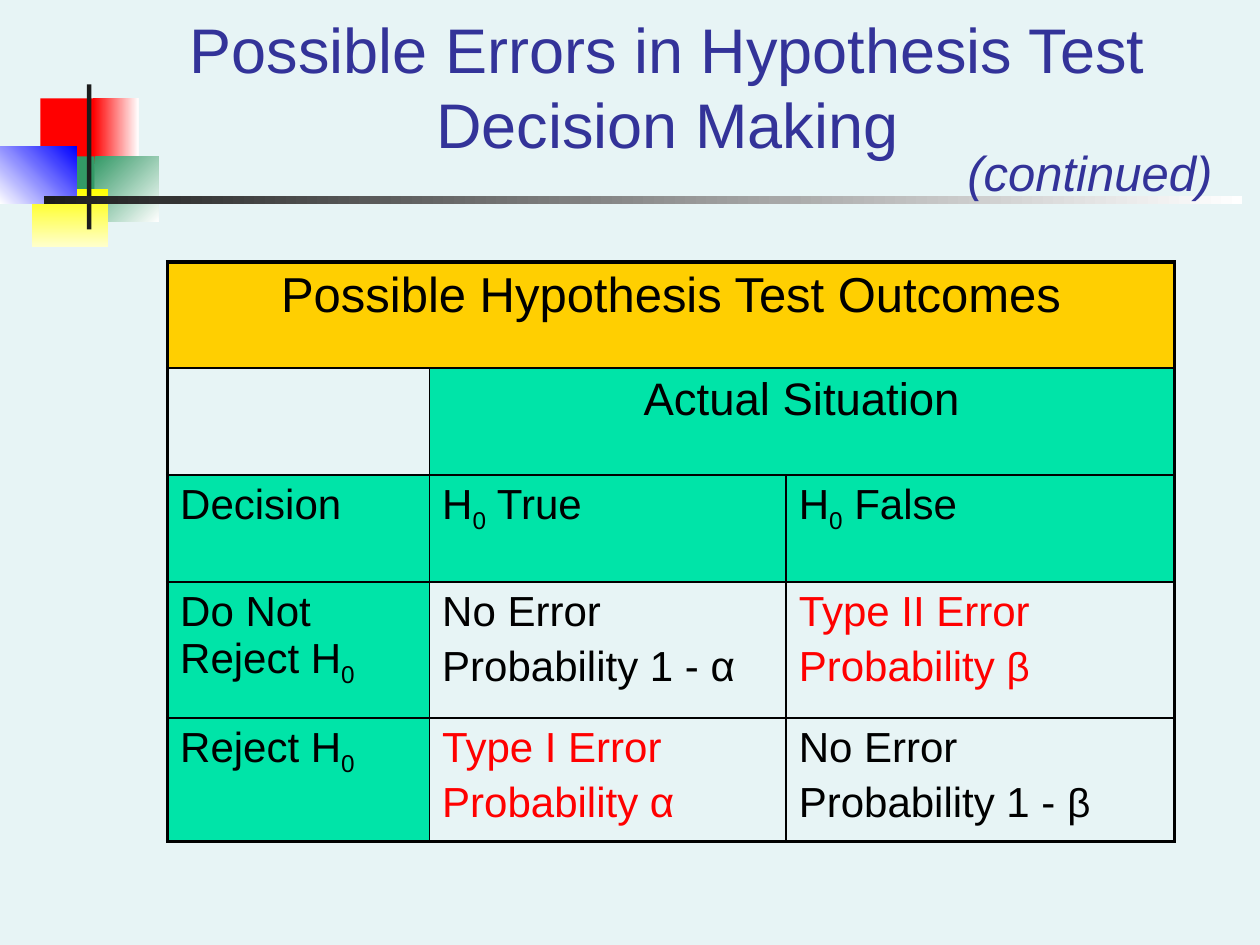
from dataclasses import dataclass

from lxml import etree
from pptx import Presentation
from pptx import util as u
from pptx.dml.color import RGBColor
from pptx.enum import shapes, text
from pptx.oxml import ns

# The slide is a grid of 100 columns by 75 rows
COLUMNS, ROWS = 100, 75
UNIT = u.Inches(0.1)

INDIGO, BLACK, RED = "333399", "000000", "FF0000"
GOLD, GREEN, CHARCOAL = "FFCF01", "00E4A8", "1C1C1C"
THIN, THICK = 1, 2.25
PLAIN_STYLE = "{2D5ABB26-0587-4C30-8999-92F81FD0307C}"


@dataclass(frozen=True)
class Box:
    """Left, top, width and height in grid units."""
    left: float
    top: float
    width: float
    height: float

    def emu(self) -> list[int]:
        return [grid(n) for n in (self.left, self.top, self.width, self.height)]


@dataclass(frozen=True)
class Block:
    box: Box
    color: str
    fade_to: str | None = None
    angle: float = 0  # clockwise


@dataclass(frozen=True)
class Piece:
    """A run that departs from its paragraph's format."""
    words: str
    size: float | None = None
    baseline: int = 0


@dataclass(frozen=True)
class Outcome:
    row: int
    col: int
    paragraphs: tuple = ()
    fill: str | None = None
    color: str = BLACK
    size: float = 24
    span: int = 1


ZERO = Piece("0", baseline=-25)
BETA = Piece("β", size=23)

BLOCKS = [
    Block(Box(3.2, 7.8, 4.8, 5.2), RED),
    Block(Box(7.4, 7.8, 3.6, 5.2), RED, "FFFFFF"),
    Block(Box(7.5, 12.4, 5.1, 5.2), "339966", "FFFFFF", 45),
    Block(Box(4.3, 12.4, 3.2, 5.2), "339966"),
    Block(Box(2.5, 15, 6.1, 4.6), "FFFF00", "FFFFCC", 90),
    Block(Box(0, 11.6, 6.1, 4.6), "FFFFFF", "0000FF", 315),
    Block(Box(6.9, 6.7, 0.35, 11.5), CHARCOAL),
    Block(Box(3.5, 15.6, 95.1, 0.6), CHARCOAL, "FFFFFF"),
]

COLUMN_WIDTHS = [20.8, 28.3, 30.8]
ROW_HEIGHTS = [8.4, 8.5, 8.5, 10.8, 9.8]
OUTCOMES = [
    Outcome(0, 0, (["Possible Hypothesis Test Outcomes"],), GOLD, size=28, span=3),
    Outcome(1, 0),
    Outcome(1, 1, (["Actual Situation"],), GREEN, size=26, span=2),
    Outcome(2, 0, (["Decision"],), GREEN),
    Outcome(2, 1, (["H", ZERO, " True"],), GREEN),
    Outcome(2, 2, (["H", ZERO, " False"],), GREEN),
    Outcome(3, 0, (["Do Not Reject H", ZERO],), GREEN),
    Outcome(3, 1, (["No Error"], ["Probability 1 - α"])),
    Outcome(3, 2, (["Type II Error"], ["Probability ", BETA]), color=RED),
    Outcome(4, 0, (["Reject H", ZERO],), GREEN),
    Outcome(4, 1, (["Type I Error"], ["Probability α"]), color=RED),
    Outcome(4, 2, (["No Error"], ["Probability 1 - ", BETA])),
]


def grid(units: float) -> int:
    return round(units * UNIT)


def rgb(color: str) -> RGBColor:
    return RGBColor.from_string(color)


def write(frame, paragraphs, *, size: float, color: str, italic=False,
          align=text.PP_ALIGN.LEFT, space_before: float = 0) -> None:
    for i, pieces in enumerate(paragraphs):
        para = frame.add_paragraph() if i else frame.paragraphs[0]
        para.alignment = align
        para.space_before = u.Pt(space_before)
        for piece in pieces:
            if isinstance(piece, str):
                piece = Piece(piece)
            run = para.add_run()
            run.text = piece.words
            font = run.font
            font.name, font.size = "Arial", u.Pt(piece.size or size)
            font.bold, font.italic = False, italic
            font.color.rgb = rgb(color)
            if piece.baseline:
                run._r.get_or_add_rPr().set("baseline", str(piece.baseline * 1000))


def draw_block(slide, block: Block) -> None:
    shape = slide.shapes.add_shape(shapes.MSO_SHAPE.RECTANGLE, *block.box.emu())
    shape.shadow.inherit = False
    shape.line.fill.background()
    if block.fade_to is None:
        shape.fill.solid()
        shape.fill.fore_color.rgb = rgb(block.color)
        return
    shape.fill.gradient()
    shape.fill.gradient_angle = -block.angle % 360  # counted anticlockwise
    stops = zip(shape.fill.gradient_stops, (block.color, block.fade_to))
    for position, (stop, color) in enumerate(stops):
        stop.position = position
        stop.color.rgb = rgb(color)


def draw_borders(cell, outcome: Outcome) -> None:
    """Thick on the table's rim, thin inside."""
    on_rim = {
        "lnL": outcome.col == 0,
        "lnR": outcome.col + outcome.span == len(COLUMN_WIDTHS),
        "lnT": outcome.row == 0,
        "lnB": outcome.row == len(ROW_HEIGHTS) - 1,
    }
    properties = cell._tc.get_or_add_tcPr()
    for place, (side, rim) in enumerate(on_rim.items()):
        line = etree.Element(ns.qn(f"a:{side}"), w=str(u.Pt(THICK if rim else THIN)))
        fill = etree.SubElement(line, ns.qn("a:solidFill"))
        etree.SubElement(fill, ns.qn("a:srgbClr"), val=BLACK)
        properties.insert(place, line)


def draw_outcome(table, outcome: Outcome) -> None:
    cell = table.cell(outcome.row, outcome.col)
    if outcome.span > 1:
        cell.merge(table.cell(outcome.row, outcome.col + outcome.span - 1))
    if outcome.fill:
        cell.fill.solid()
        cell.fill.fore_color.rgb = rgb(outcome.fill)
    else:
        cell.fill.background()
    align = text.PP_ALIGN.CENTER if outcome.span > 1 else text.PP_ALIGN.LEFT
    write(cell.text_frame, outcome.paragraphs, size=outcome.size,
          color=outcome.color, align=align, space_before=0.2 * outcome.size)
    draw_borders(cell, outcome)


def draw_table(slide, box: Box) -> None:
    table = slide.shapes.add_table(
        len(ROW_HEIGHTS), len(COLUMN_WIDTHS), *box.emu()).table
    table.first_row = table.horz_banding = False
    table._tbl.tblPr.find(ns.qn("a:tableStyleId")).text = PLAIN_STYLE
    for column, width in zip(table.columns, COLUMN_WIDTHS):
        column.width = grid(width)
    for row, height in zip(table.rows, ROW_HEIGHTS):
        row.height = grid(height)
    for outcome in OUTCOMES:
        draw_outcome(table, outcome)


def main() -> None:
    deck = Presentation()
    deck.slide_width, deck.slide_height = grid(COLUMNS), grid(ROWS)
    slide = deck.slides.add_slide(deck.slide_layouts.get_by_name("Title Only"))
    slide.background.fill.solid()
    slide.background.fill.fore_color.rgb = rgb("E7F4F5")

    for block in BLOCKS:
        draw_block(slide, block)

    title = slide.shapes.title
    title.left, title.top, title.width, title.height = Box(12.6, 2.5, 80.7, 10.8).emu()
    title.text_frame.vertical_anchor = text.MSO_ANCHOR.BOTTOM
    title.text_frame.auto_size = text.MSO_AUTO_SIZE.NONE
    write(title.text_frame, [["Possible Errors in Hypothesis Test Decision Making"]],
          size=36, color=INDIGO, align=text.PP_ALIGN.CENTER)

    draw_table(slide, Box(13.3, 20.8, sum(COLUMN_WIDTHS), sum(ROW_HEIGHTS)))

    continued = slide.shapes.add_textbox(*Box(75.8, 10.8, 21.5, 5.7).emu())
    continued.text_frame.word_wrap = False
    write(continued.text_frame, [["(continued)"]], size=28, color=INDIGO, italic=True)

    deck.save("out.pptx")


if __name__ == "__main__":
    main()
